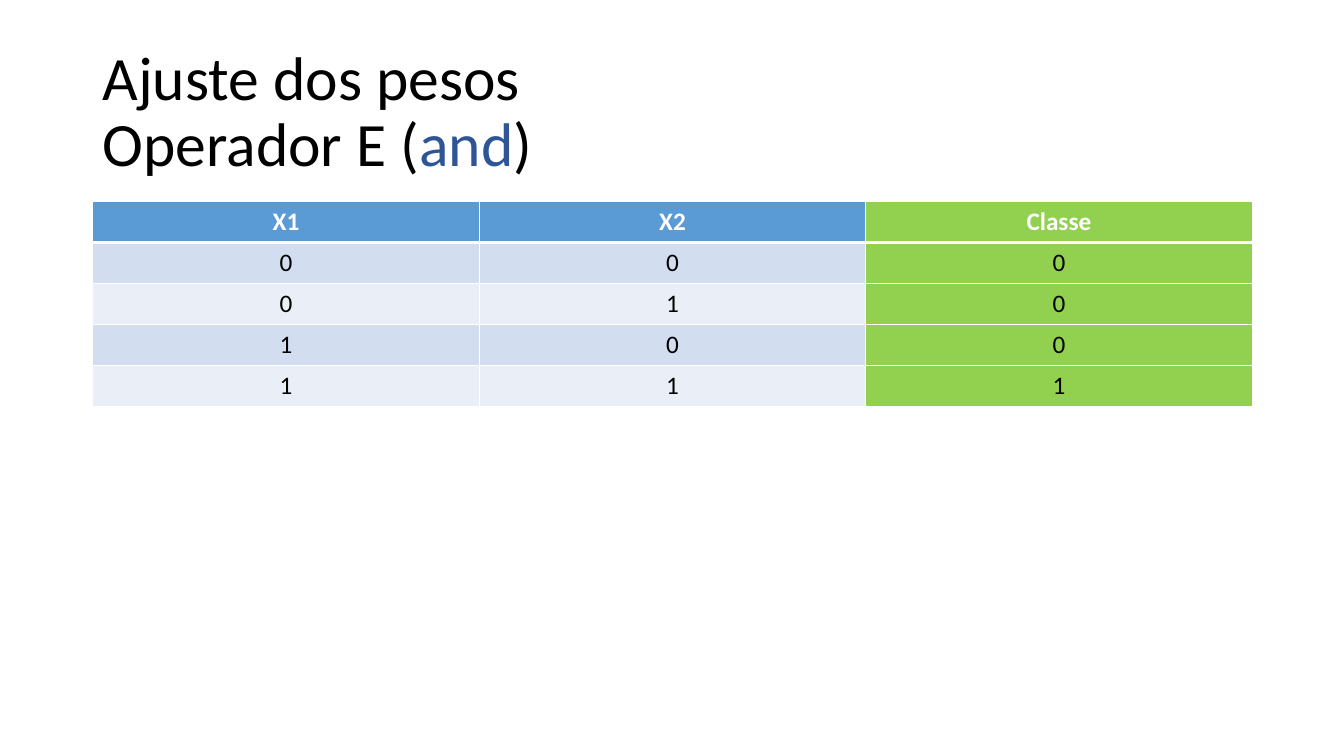
from lxml.etree import SubElement
from pptx import Presentation
from pptx.dml.color import RGBColor
from pptx.enum.text import MSO_ANCHOR, PP_ALIGN
from pptx.oxml.ns import qn
from pptx.util import Inches, Pt

BLACK = RGBColor(0x00, 0x00, 0x00)
WHITE = RGBColor(0xFF, 0xFF, 0xFF)
NAVY = RGBColor(0x2F, 0x55, 0x97)
HEADER_BLUE = RGBColor(0x5B, 0x9B, 0xD5)
BAND_DARK = RGBColor(0xD2, 0xDE, 0xEF)
BAND_LIGHT = RGBColor(0xEA, 0xEF, 0xF7)
CLASS_GREEN = RGBColor(0x92, 0xD0, 0x50)

TITLE_LINES = [
    [("Ajuste dos pesos", BLACK)],
    [("Operador E (", BLACK), ("and", NAVY), (")", BLACK)],
]
TRUTH_TABLE = [
    ["X1", "X2", "Classe"],
    ["0", "0", "0"],
    ["0", "1", "0"],
    ["1", "0", "0"],
    ["1", "1", "1"],
]


class SlideBuilder:
    """Holds the text style and the current slide, and adds its elements."""

    def __init__(self, slide, font_name):
        self.slide = slide
        self.font_name = font_name

    def add_run(self, paragraph, text, size, color, bold=False):
        run = paragraph.add_run()
        run.text = text
        run.font.name = self.font_name
        run.font.size = Pt(size)
        run.font.bold = bold
        run.font.color.rgb = color

    def add_title(self, left, top, width, height, lines):
        shape = self.slide.shapes.add_textbox(
            Inches(left), Inches(top), Inches(width), Inches(height))
        frame = shape.text_frame
        frame.word_wrap = True
        frame.vertical_anchor = MSO_ANCHOR.MIDDLE
        paragraph = frame.paragraphs[0]
        paragraph.line_spacing = 0.9
        for index, line in enumerate(lines):
            if index:
                paragraph.add_line_break()
            for text, color in line:
                self.add_run(paragraph, text, 44, color)

    def set_borders(self, cell, top_width, bottom_width):
        properties = cell._tc.get_or_add_tcPr()
        widths = {"lnL": 1, "lnR": 1, "lnT": top_width, "lnB": bottom_width}
        for side, width in widths.items():
            line = SubElement(properties, qn(f"a:{side}"), w=str(Pt(width)))
            fill = SubElement(line, qn("a:solidFill"))
            SubElement(fill, qn("a:srgbClr"), val=str(WHITE))

    def add_table(self, left, top, width, height, rows):
        table = self.slide.shapes.add_table(
            len(rows), len(rows[0]), Inches(left), Inches(top),
            Inches(width), Inches(height)).table
        for row_index, row in enumerate(rows):
            is_header = row_index == 0
            band = BAND_DARK if row_index % 2 else BAND_LIGHT
            row_color = HEADER_BLUE if is_header else band
            for column_index, text in enumerate(row):
                cell = table.cell(row_index, column_index)
                self.set_borders(cell, 3 if row_index == 1 else 1, 3 if is_header else 1)
                is_class = column_index == len(row) - 1
                cell.fill.solid()
                cell.fill.fore_color.rgb = CLASS_GREEN if is_class else row_color
                paragraph = cell.text_frame.paragraphs[0]
                paragraph.alignment = PP_ALIGN.CENTER
                self.add_run(paragraph, text, 18, WHITE if is_header else BLACK, is_header)


def main():
    presentation = Presentation()
    presentation.slide_width = Inches(13.33)
    presentation.slide_height = Inches(7.5)
    slide = presentation.slides.add_slide(presentation.slide_layouts[6])
    builder = SlideBuilder(slide, "Calibri")
    builder.add_title(0.92, 0.4, 11.5, 1.45, TITLE_LINES)
    builder.add_table(0.92, 2, 11.5, 2.03, TRUTH_TABLE)
    presentation.save("out.pptx")


if __name__ == "__main__":
    main()
